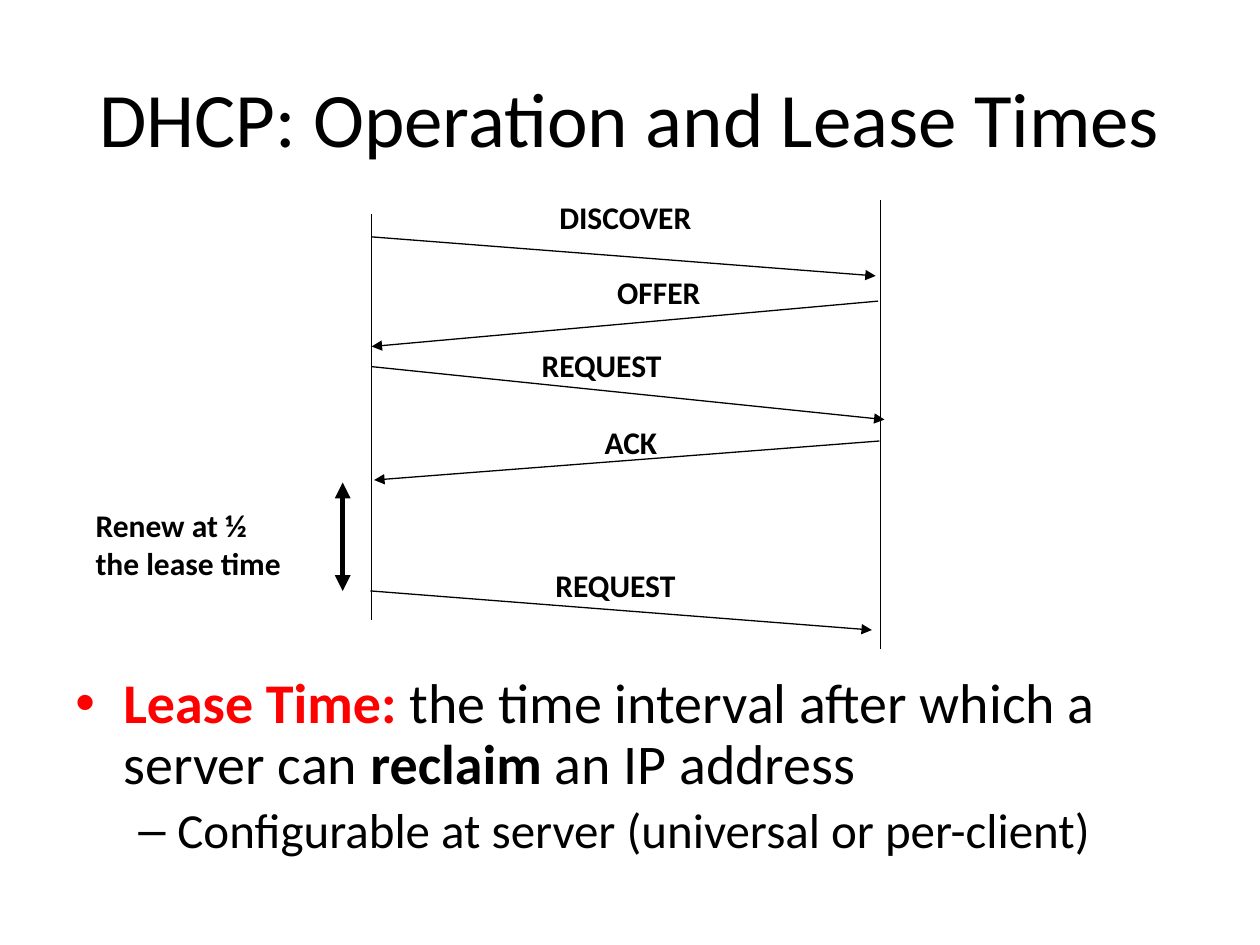
"""Build a slide showing the DHCP message exchange and lease times."""
from lxml import etree
from pptx import Presentation
from pptx.dml.color import RGBColor
from pptx.enum import shapes, text
from pptx.oxml import ns
from pptx.util import Inches, Pt

BLACK = RGBColor(0, 0, 0)
RED = RGBColor(255, 0, 0)
FONT = "Calibri"

TITLE = "DHCP: Operation and Lease Times"
TIMELINES = [((2.95, 1.7), (2.95, 4.92)), ((6.99, 1.59), (6.99, 5.15))]
MESSAGES = [
    ("DISCOVER", (4.34, 1.52, 1.51), (2.95, 1.88), (6.95, 2.19)),
    ("OFFER", (4.8, 2.12, 1.05), (6.97, 2.39), (2.95, 2.75)),
    ("REQUEST", (4.2, 2.7, 1.64), (2.95, 2.91), (7.02, 3.33)),
    ("ACK", (4.7, 3.31, 1.14), (6.98, 3.5), (2.97, 3.81)),
    ("REQUEST", (4.31, 4.44, 1.53), (2.94, 4.69), (6.92, 5)),
]
RENEWAL = "Renew at ½\vthe lease time"
BULLETS = [
    ("•", 32, 0.38, 0.38, [
        ("Lease Time: ", True, RED),
        ("the time interval after which a server can ", False, BLACK),
        ("reclaim", True, BLACK),
        (" an IP address", False, BLACK),
    ]),
    ("–", 28, 0.81, 0.31, [
        ("Configurable at server (universal or per-client)", False, BLACK),
    ]),
]


def set_font(font, size, bold=False):
    font.name, font.size, font.bold = FONT, Pt(size), bold
    font.color.rgb = BLACK


def add_textbox(slide, left, top, width, height):
    frame = slide.shapes.add_textbox(*map(Inches, (left, top, width, height))).text_frame
    frame.word_wrap = True
    return frame


def add_label(slide, caption, left, top, width, height=0.4):
    paragraph = add_textbox(slide, left, top, width, height).paragraphs[0]
    paragraph.text = caption
    set_font(paragraph.font, 18, bold=True)


def add_line(slide, start, end, width=0.75, arrowheads=()):
    line = slide.shapes.add_connector(
        shapes.MSO_CONNECTOR.STRAIGHT, *map(Inches, start + end))
    line.line.color.rgb = BLACK
    line.line.width = Pt(width)
    for arrowhead in arrowheads:
        etree.SubElement(line.line._get_or_add_ln(), ns.qn(f"a:{arrowhead}"), type="triangle")
    etree.SubElement(line._element.spPr, ns.qn("a:effectLst"))


def add_bullets(slide):
    frame = add_textbox(slide, 0.5, 5.31, 9.25, 1.39)
    for index, (bullet, size, margin, hanging, runs) in enumerate(BULLETS):
        paragraph = frame.add_paragraph() if index else frame.paragraphs[0]
        paragraph.level = index
        paragraph.line_spacing = 0.9
        if index:
            paragraph.space_before = Pt(size * 0.2)
        properties = paragraph._p.get_or_add_pPr()
        properties.set("marL", str(Inches(margin)))
        properties.set("indent", str(-Inches(hanging)))
        etree.SubElement(properties, ns.qn("a:buFont"), typeface="Arial")
        etree.SubElement(properties, ns.qn("a:buChar"), char=bullet)
        set_font(paragraph.font, size)
        for words, bold, color in runs:
            run = paragraph.add_run()
            run.text = words
            run.font.bold = bold
            run.font.color.rgb = color


def main():
    presentation = Presentation()
    presentation.slide_width, presentation.slide_height = Inches(10), Inches(7.5)
    slide = presentation.slides.add_slide(presentation.slide_layouts[6])

    title = add_textbox(slide, 0.5, 0.3, 9, 1.25)
    title.vertical_anchor = text.MSO_ANCHOR.MIDDLE
    heading = title.paragraphs[0]
    heading.text = TITLE
    heading.alignment = text.PP_ALIGN.CENTER
    set_font(heading.font, 44)

    add_bullets(slide)
    for start, end in TIMELINES:
        add_line(slide, start, end)
    for caption, place, start, end in MESSAGES:
        add_line(slide, start, end, arrowheads=["tailEnd"])
        add_label(slide, caption, *place)
    add_line(slide, (2.72, 3.83), (2.72, 4.69), 3, ["headEnd", "tailEnd"])
    add_label(slide, RENEWAL, 0.66, 3.97, 1.92, 0.7)

    presentation.save("out.pptx")


if __name__ == "__main__":
    main()
